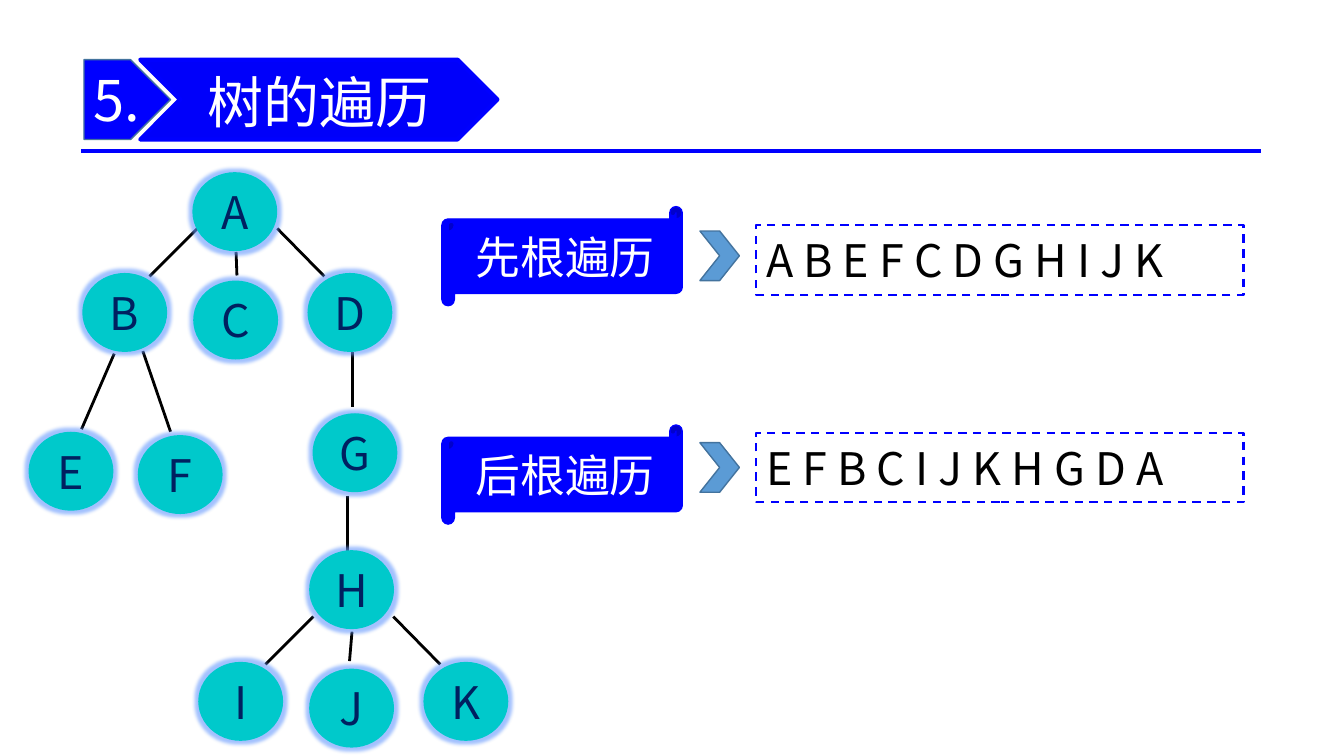
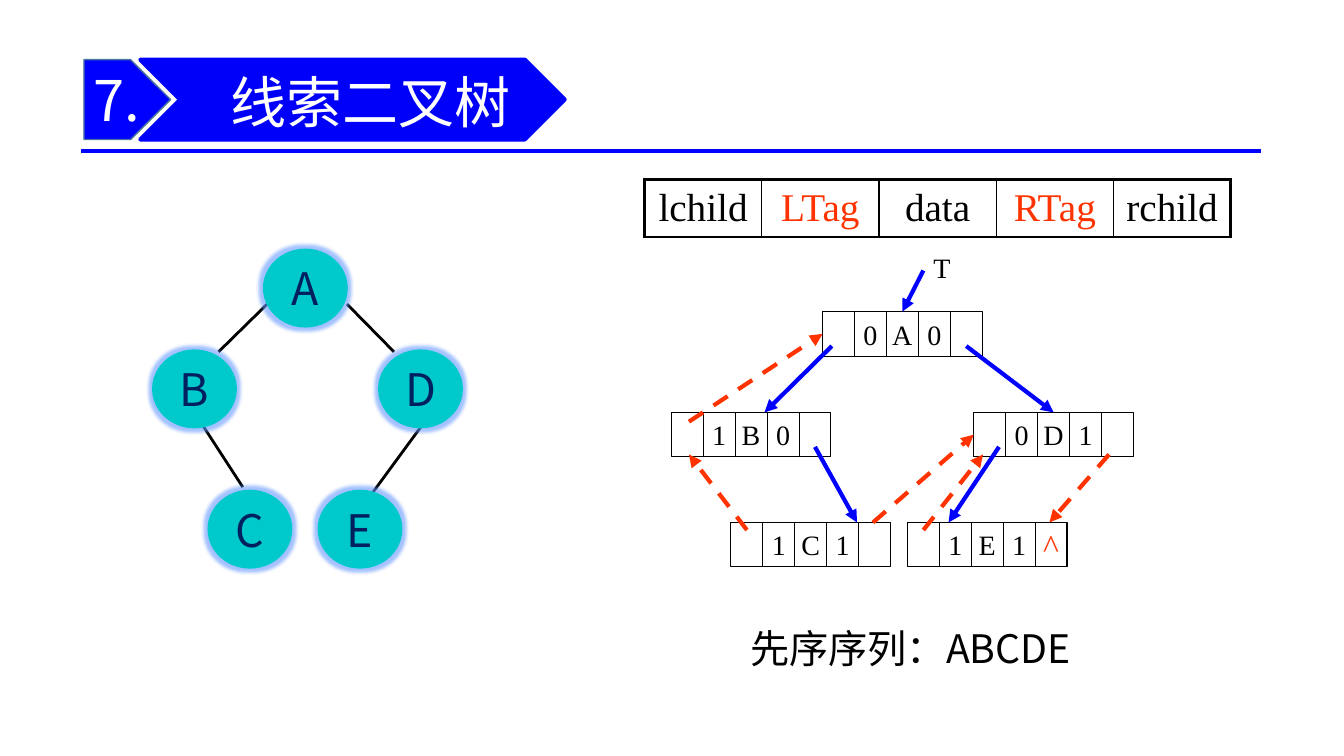
from lxml import etree
from pptx import Presentation
from pptx.dml.color import RGBColor
from pptx.enum.dml import MSO_LINE
from pptx.enum.shapes import MSO_CONNECTOR, MSO_SHAPE
from pptx.enum.text import MSO_ANCHOR, MSO_AUTO_SIZE, PP_ALIGN
from pptx.oxml.ns import qn
from pptx.util import Inches, Pt

BLUE = RGBColor(0x00, 0x00, 0xFF)
BANNER_BLUE = RGBColor(0x00, 0x00, 0xFA)
STEEL = RGBColor(0x5B, 0x9B, 0xD5)
STEEL_EDGE = RGBColor(0x43, 0x73, 0x9E)
TEAL = RGBColor(0x00, 0xC9, 0xCB)
NAVY = RGBColor(0x00, 0x20, 0x60)
GLOW = RGBColor(0x66, 0x99, 0xFF)
RED = RGBColor(0xFF, 0x33, 0x00)
BLACK = RGBColor(0x00, 0x00, 0x00)
WHITE = RGBColor(0xFF, 0xFF, 0xFF)
SANS, SERIF = "Noto Sans CJK SC", "Times New Roman"
LEFT, CENTER = PP_ALIGN.LEFT, PP_ALIGN.CENTER

prs = Presentation()
prs.slide_width, prs.slide_height = Inches(13.33), Inches(7.5)
CELL = prs.slide_height / 90  # square grid: 160 columns by 90 rows
NODE_W, NODE_H = 10.1, 9.4
RECORD_W, RECORD_H = 19, 5.3
FIELD_W = RECORD_W / 5
title_only = prs.slide_layouts[5]


def draw(slide, kind, box, text="", size=32, colour=BLACK, font=SANS, align=CENTER,
         fill=None, edge=None, weight=1, inset=0):
    """Place a preset shape, a "text" box or the slide's "title" on the grid."""
    lengths = [round(CELL * cells) for cells in box]
    if kind == "title":
        shape = slide.shapes.title
        shape.left, shape.top, shape.width, shape.height = lengths
        slide.shapes.element.append(shape.element)  # bring to front
    elif kind == "text":
        shape = slide.shapes.add_textbox(*lengths)
    else:
        shape = slide.shapes.add_shape(kind, *lengths)
    shape.shadow.inherit = False
    if fill is None:
        shape.fill.background()
    else:
        shape.fill.solid()
        shape.fill.fore_color.rgb = fill
    if edge is None:
        shape.line.fill.background()
    else:
        shape.line.color.rgb = edge
        shape.line.width = Pt(weight)
    if text:
        frame = shape.text_frame
        frame.word_wrap = True
        frame.auto_size = MSO_AUTO_SIZE.NONE
        frame.vertical_anchor = MSO_ANCHOR.MIDDLE
        frame.margin_left = round(CELL * inset)
        frame.margin_right = frame.margin_top = frame.margin_bottom = 0
        frame.paragraphs[0].alignment = align
        run = frame.paragraphs[0].add_run()
        run.text = text
        run.font.size = Pt(size)
        run.font.color.rgb = colour
        run.font.name = font
        etree.SubElement(run._r.get_or_add_rPr(), qn("a:ea"), typeface=font)
    return shape


def link(slide, start, end, colour=BLACK, weight=2, dashed=False, arrow=False):
    line = slide.shapes.add_connector(
        MSO_CONNECTOR.STRAIGHT, *(round(CELL * cells) for cells in (*start, *end)))
    line.line.color.rgb = colour
    line.line.width = Pt(weight)
    if dashed:
        line.line.dash_style = MSO_LINE.DASH
    if arrow:
        etree.SubElement(line.get_or_add_ln(), qn("a:tailEnd"), type="triangle")
    etree.SubElement(line.element.spPr, qn("a:effectLst"))
    return line


# Heading and tree of each slide
topics = [
    {
        "number": "5.", "title": "树的遍历", "banner_w": 42.5, "title_x": 23.4, "title_w": 28.8,
        "nodes": {"A": (22.9, 20.5), "B": (9.8, 32.5), "C": (23, 33.4), "D": (36.6, 32.5),
                  "E": (3.4, 51.4), "F": (16.4, 51.8), "G": (37.2, 49.2), "H": (36.8, 65.5),
                  "I": (23.6, 78.8), "J": (36.8, 79.6), "K": (50.4, 78.8)},
        "branches": [((23.5, 27.2), (17.8, 32.9)), ((28.1, 30), (28.2, 32.8)),
                     ((33, 27.2), (38.6, 32.9)), ((13.6, 42.1), (9.7, 51.1)),
                     ((17, 41.8), (20.3, 51.4)), ((42, 41.9), (42, 48.4)),
                     ((41.4, 59), (41.4, 67.2)), ((37.3, 73.4), (31.6, 79.1)),
                     ((41.9, 75.2), (41.6, 78.7)), ((46.8, 73.4), (52.4, 79.1))],
    },
    {
        "number": "7.", "title": "线索二叉树", "banner_w": 50.5, "title_x": 21.8, "title_w": 44,
        "nodes": {"A": (31.3, 29.6), "B": (18.1, 41.6), "C": (24.7, 58.3),
                  "D": (45, 41.6), "E": (37.8, 58.3)},
        "branches": [((31.8, 36.2), (26, 41.9)), ((41.3, 36.2), (46.9, 41.9)),
                     ((24.1, 50.6), (28.9, 58)), ((50.4, 50.4), (43.8, 59.4))],
    },
]
slides = []
for topic in topics:
    slide = prs.slides.add_slide(title_only)
    slides.append(slide)
    draw(slide, MSO_SHAPE.PENTAGON, (10, 7.1, 10.3, 9.5), topic["number"], 40, WHITE,
         align=LEFT, fill=BLUE, edge=STEEL_EDGE, inset=1.2)
    draw(slide, MSO_SHAPE.CHEVRON, (16.7, 7.1, topic["banner_w"], 9.5),
         fill=BANNER_BLUE, edge=BLUE, weight=3)
    draw(slide, "title", (topic["title_x"], 5.5, topic["title_w"], 13),
         topic["title"], 40, WHITE, inset=0.5)
    for start, end in topic["branches"]:
        link(slide, start, end)
    for letter, corner in topic["nodes"].items():
        node = draw(slide, MSO_SHAPE.OVAL, (*corner, NODE_W, NODE_H), letter, colour=NAVY, fill=TEAL)
        effects = node.element.spPr.find(qn("a:effectLst"))
        glow = etree.SubElement(effects, qn("a:glow"), rad=str(Pt(5)))
        glow_colour = etree.SubElement(glow, qn("a:srgbClr"), val=str(GLOW))
        etree.SubElement(glow_colour, qn("a:alpha"), val="60000")
traversal, threaded = slides

# The rule under the heading belongs to the layout
heading_rule = link(traversal, (9.7, 18), (150.1, 18), BLUE, 3)
title_only.shapes.element.append(heading_rule.element)

# Traversal orders
for order, visits, scroll_y, chevron_y, visits_y in [
    ("先根遍历", "A B E F C D G H I J K", 24.6, 27.5, 26.8),
    ("后根遍历", "E F B C I J K H G D A", 50.6, 52.7, 51.5),
]:
    draw(traversal, MSO_SHAPE.HORIZONTAL_SCROLL, (52.6, scroll_y, 28.6, 11.8), order,
         colour=WHITE, fill=BLUE, edge=BLUE)
    draw(traversal, MSO_SHAPE.CHEVRON, (83.3, chevron_y, 4.7, 5.9), fill=STEEL, edge=STEEL_EDGE)
    visit_list = draw(traversal, MSO_SHAPE.RECTANGLE, (90, visits_y, 58, 8.3), visits,
                      align=LEFT, fill=WHITE, edge=BLUE, weight=1.5, inset=1.2)
    visit_list.line.dash_style = MSO_LINE.DASH

# Fields of a threaded node
fields = ["lchild", "LTag", "data", "RTag", "rchild"]
field_table = threaded.shapes.add_table(
    1, len(fields), *(round(CELL * cells) for cells in (76.7, 21.4, 69.8, 6.8))).table
field_table.first_row = field_table.horz_banding = False
for column, field in enumerate(fields):
    cell = field_table.cell(0, column)
    cell.vertical_anchor = MSO_ANCHOR.MIDDLE
    cell.margin_left = cell.margin_right = cell.margin_top = cell.margin_bottom = 0
    outer = {"T", "B"} | ({"L"} if column == 0 else set())
    outer |= {"R"} if column == len(fields) - 1 else set()
    for side in "LRTB":
        border = etree.SubElement(cell._tc.get_or_add_tcPr(), qn("a:ln" + side),
                                  w=str(Pt(2.25 if side in outer else 1)))
        border_fill = etree.SubElement(border, qn("a:solidFill"))
        etree.SubElement(border_fill, qn("a:srgbClr"), val=str(BLACK))
    cell.fill.background()
    paragraph = cell.text_frame.paragraphs[0]
    paragraph.alignment = CENTER
    run = paragraph.add_run()
    run.text = field
    run.font.size = Pt(28)
    run.font.name = SERIF
    run.font.color.rgb = RED if field.endswith("Tag") else BLACK

# Linked records: letter, left, top, then the marks by field number
records = {}
for letter, x, y, marks in [
    ("A", 97.9, 37.1, {1: "0", 3: "0"}),
    ("B", 79.9, 49.1, {1: "1", 3: "0"}),
    ("D", 115.9, 49.1, {1: "0", 3: "1"}),
    ("C", 87, 62.2, {1: "1", 3: "1"}),
    ("E", 108, 62.2, {1: "1", 3: "1", 4: "^"}),
]:
    records[letter] = draw(threaded, MSO_SHAPE.RECTANGLE, (x, y, RECORD_W, RECORD_H), letter,
                           20, font=SERIF, edge=BLACK, weight=0.75)
    for border_number in range(1, 5):
        divider_x = x + border_number * FIELD_W
        link(threaded, (divider_x, y), (divider_x, y + RECORD_H), weight=0.75)
    for field_number, mark in marks.items():
        null = mark == "^"
        draw(threaded, "text", (x + field_number * FIELD_W, y, FIELD_W, RECORD_H), mark,
             24 if null else 20, RED if null else BLACK, SERIF)

# Child pointers are solid, threads dashed; an end is a point or a record's side
child_pointers = [
    ((109.9, 32.2), ("A", 0)), ((99, 41.2), (91, 49.1)), ((115, 41.2), ("D", 0)),
    ((97, 53.2), (102, 62.2)), ((118.9, 53.2), (112.9, 62.2)),
]
threads = [
    ((82, 50.2), ("A", 1)), ((88.9, 63.1), (82, 54.1)), ((103.9, 62.2), ("D", 1)),
    ((109.9, 63.1), (117, 54.1)), ((132, 54.1), (124.9, 62.2)),
]
for arrows, colour, dashed in [(child_pointers, BLUE, False), (threads, RED, True)]:
    for start, end in arrows:
        joined = end[0] in records
        pointer = link(threaded, start, start if joined else end, colour, 3, dashed, arrow=True)
        if joined:
            pointer.end_connect(records[end[0]], end[1])

draw(threaded, "text", (111.1, 29.2, 4, 5.2), "T", 20, font=SERIF, align=LEFT)
draw(threaded, "text", (89.3, 73.7, 44, 6.8), "先序序列：ABCDE", 28, align=LEFT)

prs.save("out.pptx")
